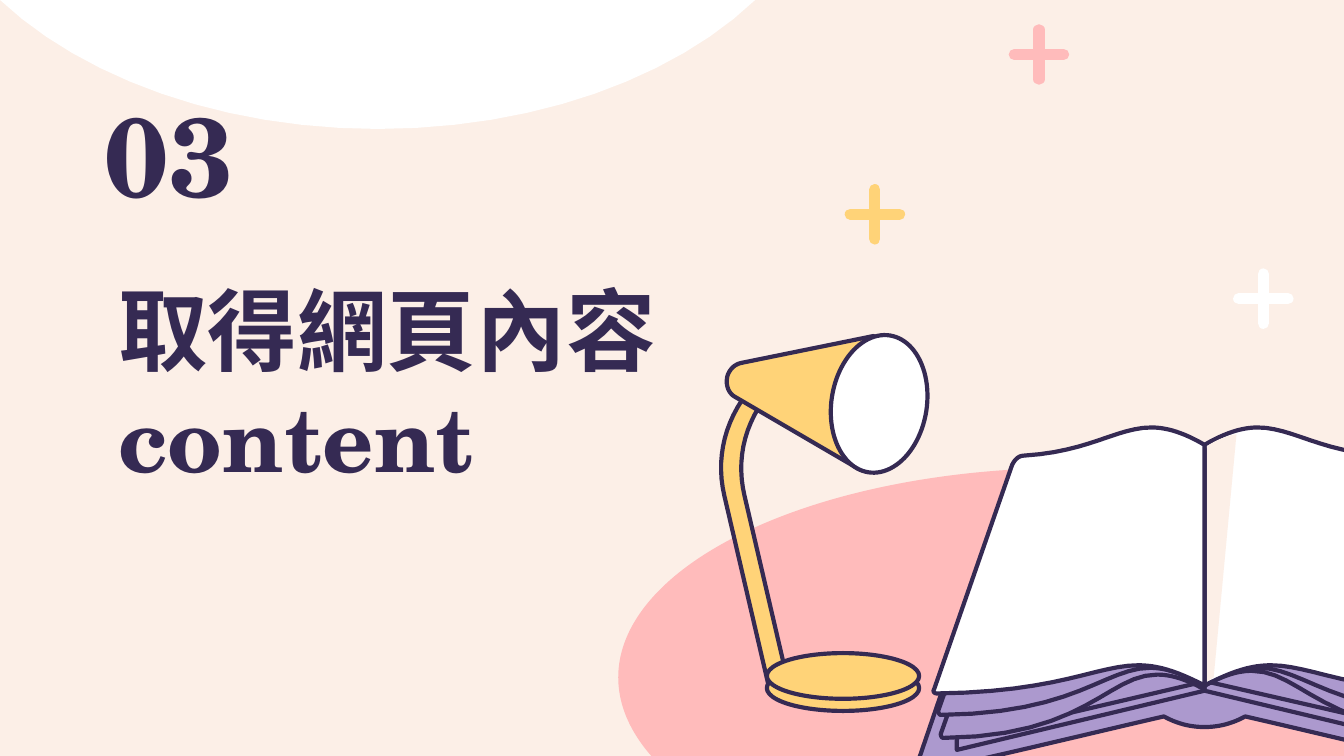
"""Builds a section slide with a desk lamp and an open book."""
from dataclasses import dataclass

from pptx import Presentation
from pptx.dml.color import RGBColor
from pptx.enum.shapes import MSO_CONNECTOR, MSO_SHAPE
from pptx.enum.text import MSO_ANCHOR
from pptx.oxml.ns import qn
from pptx.util import Pt

OVAL = MSO_SHAPE.OVAL
LINE = MSO_CONNECTOR.STRAIGHT
MIDDLE = MSO_ANCHOR.MIDDLE


@dataclass(frozen=True)
class Theme:
    font: str = "TeX Gyre Schola"
    cream: str = "FCEFE7"
    pink: str = "FFBBBB"
    gold: str = "FFD378"
    lilac: str = "AC99CE"
    white: str = "FFFFFF"
    ink: str = "352A53"
    title: int = 48
    number: int = 60
    pen: float = 2.25
    stroke: float = 6


SPINE = 645.3
STEPS = 12

DOME = [(202.3, 69.1), (118.8, 69.1, 44.6, 41.8, 0, 0), (0, -69.1),
        (404.6, -69.1), (404.6, 0), (360.7, 41.8, 286.6, 69.1, 202.3, 69.1)]
ARM = [(412.6, 193.7), (397.4, 214.6), (387.4, 229.7, 383.8, 247.7, 388.1, 265.7),
       (412.6, 370.8), (423.4, 370.8), (398.9, 265.7),
       (394.6, 247.7, 398.2, 229.7, 409, 214.6), (423.4, 193.7)]
HEAD = [(468, 180), (397.4, 194.4), (393.1, 195.1, 390.2, 198.7, 389.5, 202.3),
        (388.8, 206.6, 390.2, 211, 394.6, 213.1), (460.1, 251.3)]
COVER = [(SPINE, 254.9), (637.9, 250.6, 631.4, 249.1, 625.7, 249.1),
         (599.8, 249.1, 581, 280.8, 539.3, 283),
         (536.4, 283.7, 534.2, 285.1, 532.8, 288), (491, 410.4),
         (491, 411.8, 491.8, 413.3, 493.9, 413.3),
         (511.9, 410.4, 586.1, 392.4, 623.5, 383.8),
         (630, 387.4, 637.2, 389.5, SPINE, 389.5)]
BLOCK = [(SPINE, 343.4), (512.6, 385.9), (512.6, 401.8), (SPINE, 370.1)]
WEDGE = [(639.4, 345.6), (565.2, 383.8), (645.8, 365), (724.3, 383), (724.3, 368.6)]
LOW = [(626.4, 236.2), (604.1, 236.2, 593.3, 265.7, 553, 267.8),
       (550.1, 267.8, 547.2, 270, 546.5, 272.9), (504, 393.1),
       (504, 394.6, 504.7, 395.3, 505.4, 395.3),
       (581.8, 394.6, 593.3, 361.4, 619.9, 361.4),
       (627.1, 361.4, 635, 363.6, SPINE, 369.4), (SPINE, 241.9),
       (637.9, 237.6, 631.4, 236.2, 626.4, 236.2)]
MID = [(622.8, 232.6), (601.9, 232.6, 589.7, 253.4, 551.5, 255.6),
       (548.6, 255.6, 545.8, 257.8, 545, 260.6), (502.6, 380.9),
       (502.6, 381.6, 503.3, 383, 504, 383),
       (576.7, 382.3, 591.8, 357.8, 616.3, 357.8),
       (624.2, 357.8, 633.6, 360.7, SPINE, 367.2), (SPINE, 240.5),
       (636.5, 234.7, 629.3, 232.6, 622.8, 232.6)]
TOP = [(617, 229), (598.3, 229, 583.9, 241.9, 548.6, 244.1),
       (545.8, 244.1, 543.6, 246.2, 542.2, 249.1), (500.4, 369.4),
       (499.7, 370.1, 500.4, 371.5, 501.8, 371.5),
       (567.4, 370.8, 587.5, 356.4, 609.8, 356.4),
       (619.9, 356.4, 630, 359.3, SPINE, 367.2), (SPINE, 238.3),
       (634.3, 231.8, 625, 229, 617, 229)]
SHADE = [(662.4, 232.6), (653.8, 234, 646.6, 239, 646.6, 239),
         (646.6, 365), (650.2, 362.9)]


def trace(path):
    dots = [path[0]]
    for part in path[1:]:
        if len(part) == 2:
            dots.append(part)
            continue
        knots = [dots[-1], part[:2], part[2:4], part[4:]]
        for step in range(1, STEPS + 1):
            t = step / STEPS
            mix = ((1 - t) ** 3, 3 * t * (1 - t) ** 2, 3 * t * t * (1 - t), t ** 3)
            dots.append(tuple(sum(m * k[axis] for m, k in zip(mix, knots))
                              for axis in (0, 1)))
    return dots


def flip(dots, rise=0):
    return [(2 * SPINE - x, y - rise) for x, y in dots]


class Deck:
    def __init__(self, theme):
        self.theme = theme
        self.file = Presentation()
        self.file.slide_width, self.file.slide_height = Pt(720), Pt(405)
        self.slide = self.file.slides.add_slide(self.file.slide_layouts[6])
        self.shapes = self.slide.shapes
        back = self.slide.background.fill
        back.solid()
        back.fore_color.rgb = RGBColor.from_string(theme.cream)

    def paint(self, shape, fill, edge):
        shape.shadow.inherit = False
        shape.fill.solid()
        shape.fill.fore_color.rgb = RGBColor.from_string(fill)
        if edge:
            shape.line.color.rgb = RGBColor.from_string(self.theme.ink)
            shape.line.width = Pt(self.theme.pen)
        else:
            shape.line.fill.background()

    def oval(self, x, y, w, h, fill, edge=True, turn=0):
        shape = self.shapes.add_shape(OVAL, Pt(x), Pt(y), Pt(w), Pt(h))
        shape.rotation = turn
        self.paint(shape, fill, edge)

    def form(self, dots, fill, edge=True):
        first, *rest = [(Pt(x), Pt(y)) for x, y in dots]
        pen = self.shapes.build_freeform(*first, scale=1.0)
        pen.add_line_segments(rest, close=True)
        self.paint(pen.convert_to_shape(), fill, edge)

    def plus(self, x, y, tint, arm=13.2):
        for dx, dy in ((0, arm), (arm, 0)):
            bar = self.shapes.add_connector(
                LINE, Pt(x - dx), Pt(y - dy), Pt(x + dx), Pt(y + dy))
            bar.line.color.rgb = RGBColor.from_string(tint)
            bar.line.width = Pt(self.theme.stroke)
            props = bar._element.spPr
            props.find(qn("a:ln")).set("cap", "rnd")
            props.append(props.makeelement(qn("a:effectLst"), {}))

    def text(self, x, y, w, h, words, size, inset):
        frame = self.shapes.add_textbox(Pt(x), Pt(y), Pt(w), Pt(h)).text_frame
        frame.word_wrap = True
        frame.vertical_anchor = MIDDLE
        frame.margin_left = frame.margin_right = frame.margin_top = Pt(inset)
        frame.margin_bottom = Pt(7.2)
        run = frame.paragraphs[0].add_run()
        run.text = words
        run.font.name = self.theme.font
        run.font.size = Pt(size)
        run.font.bold = True
        run.font.color.rgb = RGBColor.from_string(self.theme.ink)


def main():
    look = Theme()
    deck = Deck(look)
    deck.oval(331.2, 250.6, 486, 224.6, look.pink, edge=False)
    deck.form(trace(DOME), look.white, edge=False)
    for x, y, tint in ((676.8, 160, look.white), (468.7, 114.8, look.gold),
                       (556.6, 29.2, look.pink)):
        deck.plus(x, y, tint)

    deck.text(56.2, 159.8, 308.9, 90.7, "取得網頁內容 content", look.title, 7.2)
    deck.text(56.2, 64.1, 85, 42.5, "03", look.number, 0)

    deck.form(trace(ARM), look.gold)
    for y in (356.4, 349.9):
        deck.oval(410.8, y, 81.6, 24.5, look.gold)
    deck.form(trace(HEAD), look.gold)
    deck.oval(445.4, 179.3, 51.1, 74.2, look.white, turn=9)

    half, low, mid, top = [trace(path) for path in (COVER, LOW, MID, TOP)]
    deck.form(half + flip(half)[::-1], look.lilac)
    for dots in (BLOCK, flip(BLOCK), WEDGE, low, flip(low, rise=2), flip(mid)):
        deck.form(dots, look.lilac)
    deck.form(flip(top), look.white)
    deck.form(mid, look.lilac)
    deck.form(top, look.white)
    deck.form(trace(SHADE), look.cream, edge=False)
    deck.file.save("out.pptx")


if __name__ == "__main__":
    main()
